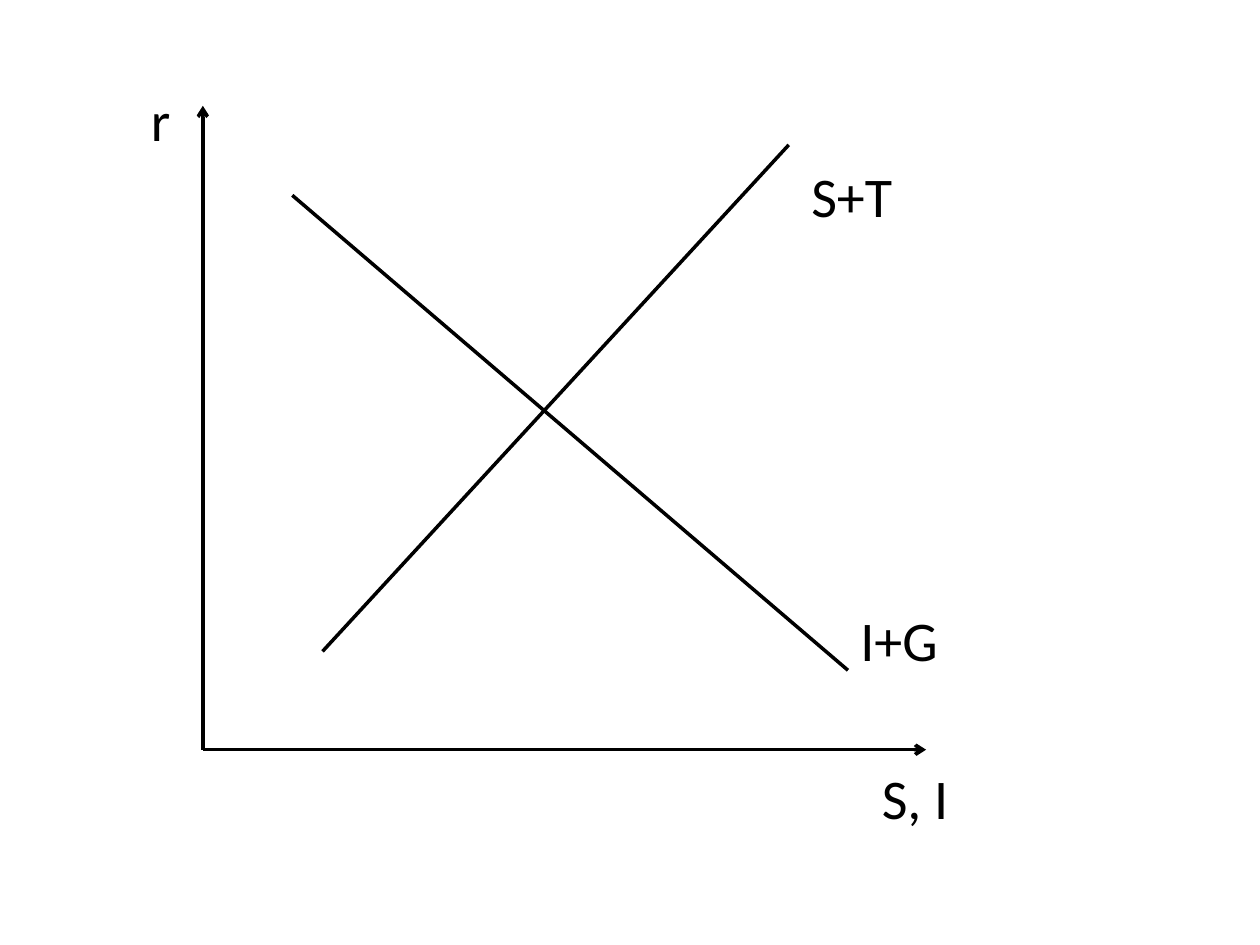
from pptx import Presentation
from pptx.dml.color import RGBColor
from pptx.enum.shapes import MSO_CONNECTOR as Connector
from pptx.enum.text import MSO_AUTO_SIZE as AutoSize
from pptx.oxml.ns import qn
from pptx.util import Inches, Pt
from lxml.etree import SubElement

BLACK = "000000"
ORIGIN = (1.61, 5.95)
LABEL_HEIGHT = 0.64


def color(hex_code):
    return RGBColor.from_string(hex_code)


def add_line(page, start, end, arrow=False):
    line = page.shapes.add_connector(
        Connector.STRAIGHT, *(Inches(value) for value in (*start, *end)))
    line.line.width = Pt(2)
    line.line.color.rgb = color(BLACK)
    if arrow:
        SubElement(line.line._get_or_add_ln(), qn("a:tailEnd"), type="arrow")
    # An empty effect list switches the theme shadow off
    SubElement(line._element.spPr, qn("a:effectLst"))


def add_label(page, text, left, top, width):
    box = page.shapes.add_textbox(
        *(Inches(value) for value in (left, top, width, LABEL_HEIGHT)))
    frame = box.text_frame
    frame.word_wrap = False
    frame.auto_size = AutoSize.SHAPE_TO_FIT_TEXT
    para = frame.paragraphs[0]
    para.text = text
    para.font.name = "Calibri"
    para.font.size = Pt(32)
    para.font.color.rgb = color(BLACK)


def main():
    deck = Presentation()
    deck.slide_width, deck.slide_height = Inches(10), Inches(7.5)
    page = deck.slides.add_slide(deck.slide_layouts[6])

    # Axes
    for axis_end in ((ORIGIN[0], 0.84), (7.35, ORIGIN[1])):
        add_line(page, ORIGIN, axis_end, arrow=True)

    # Investment and saving curves
    add_line(page, (2.32, 1.55), (6.73, 5.32))
    add_line(page, (6.26, 1.15), (2.56, 5.17))

    # Curve and axis labels
    for label in (
        ("S+T", 6.34, 1.23, 0.85),
        ("I+G", 6.73, 4.76, 0.82),
        ("S, I", 6.9, 6.01, 0.74),
        ("r", 1.1, 0.63, 0.36),
    ):
        add_label(page, *label)

    deck.save("out.pptx")


main()
